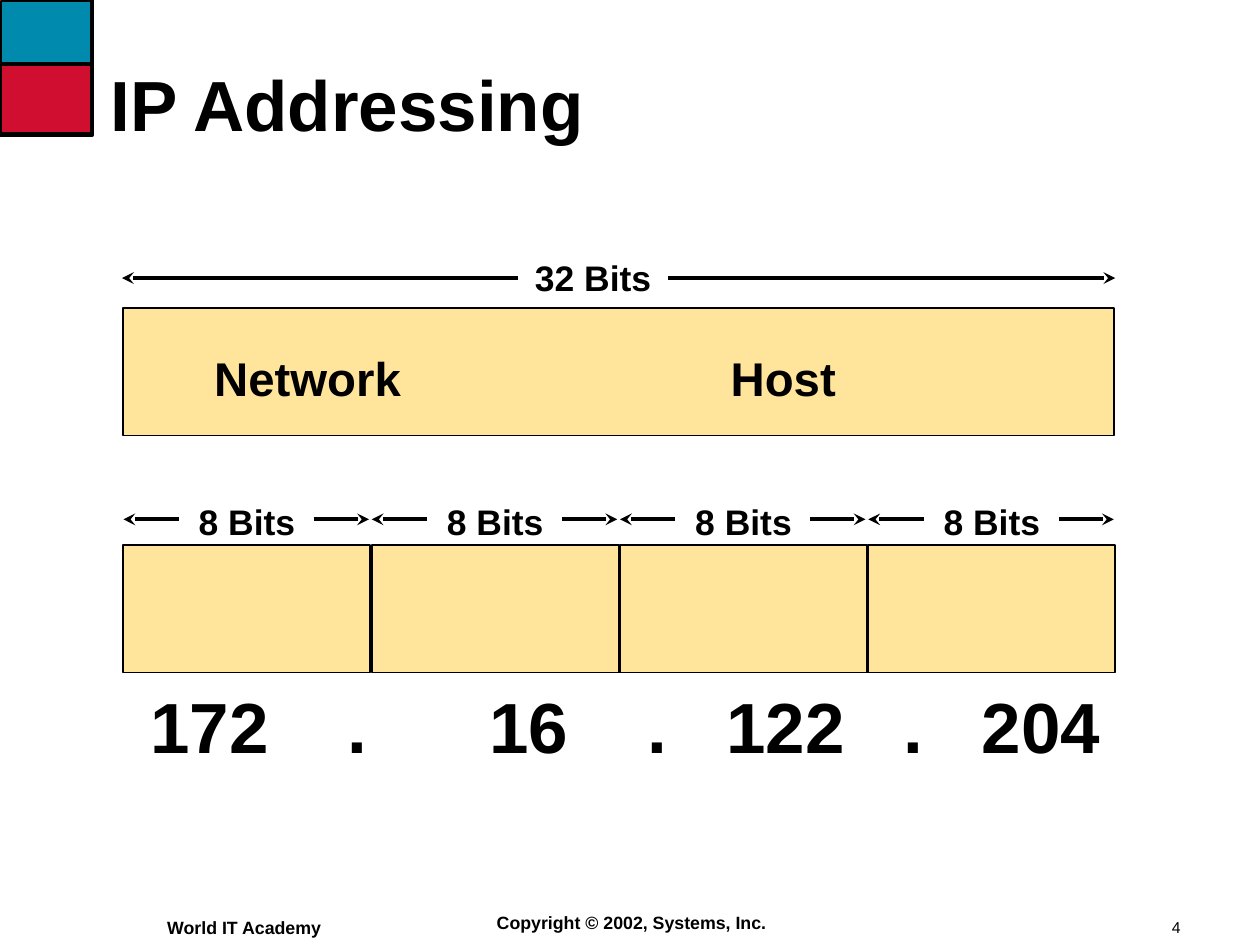
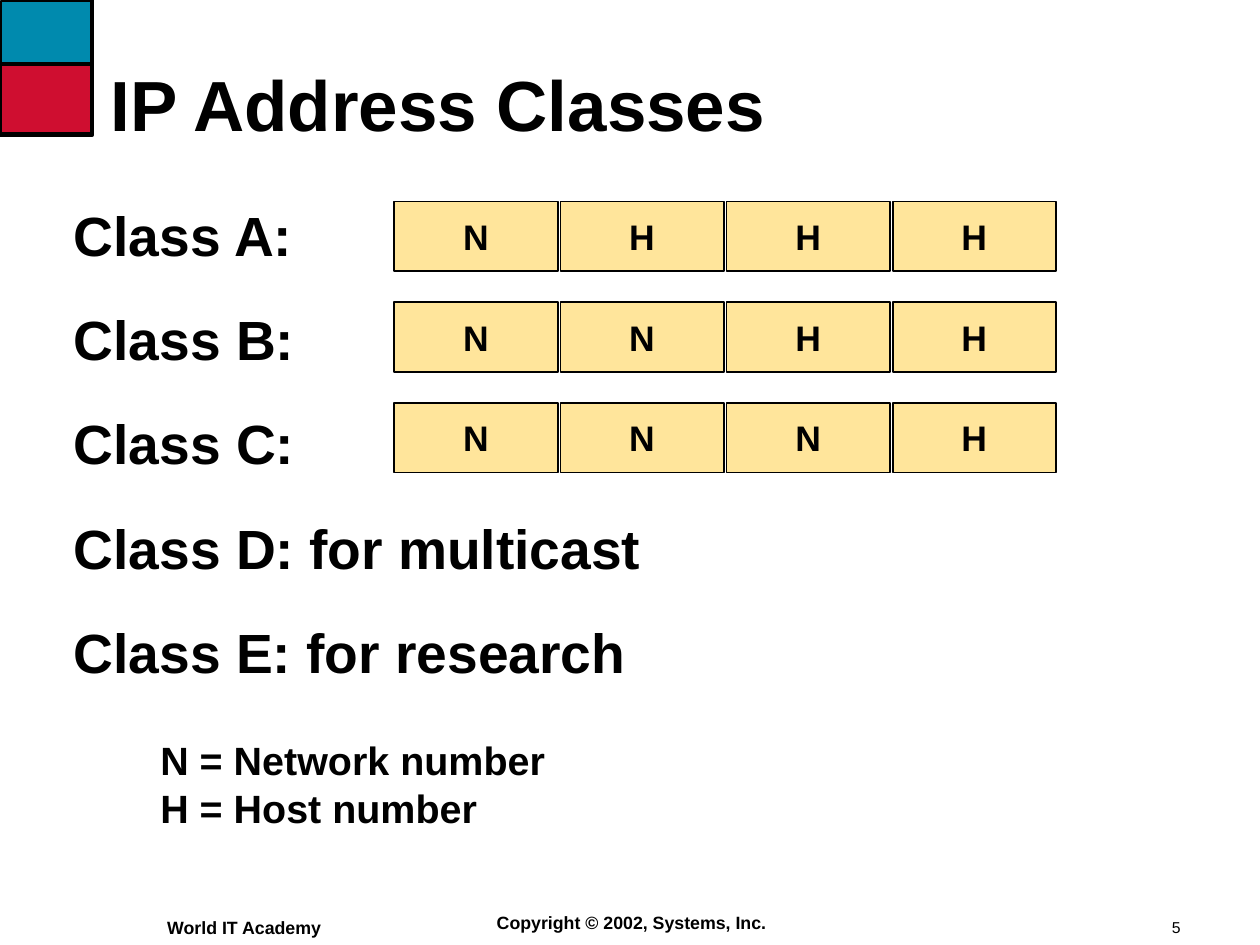
import pptx
import pptx.dml.color
import pptx.enum.shapes
import pptx.enum.text
import pptx.oxml
import pptx.oxml.ns
import pptx.util

PX = 9144  # EMU in one px, 100 px to the inch


class Theme:
    font = "Arial"
    ink = pptx.dml.color.RGBColor.from_string("000000")
    blue = pptx.dml.color.RGBColor.from_string("008AAE")
    red = pptx.dml.color.RGBColor.from_string("CF0E30")
    cell = pptx.dml.color.RGBColor.from_string("FFE59B")
    title, body, label, legend, bits = 36, 28, 24, 20, 18
    footer, number = 9, 8
    thin, thick = pptx.util.Pt(1), pptx.util.Pt(2)


LEFT = pptx.enum.text.PP_ALIGN.LEFT
CENTER = pptx.enum.text.PP_ALIGN.CENTER
TOP = pptx.enum.text.MSO_ANCHOR.TOP
MIDDLE = pptx.enum.text.MSO_ANCHOR.MIDDLE


def add_box(s, x, y, w, h, lines=(), size=Theme.bits, fill=None, align=LEFT, anchor=TOP,
            inset=(2, 3), spacing=None, before=0, bold=True, tabs=()):
    """Text box, or an outlined rectangle when a fill is given."""
    at = [v * PX for v in (x, y, w, h)]
    if fill is None:
        sp = s.shapes.add_textbox(*at)
    else:
        sp = s.shapes.add_shape(pptx.enum.shapes.MSO_SHAPE.RECTANGLE, *at)
        sp.shadow.inherit = False
        sp.fill.solid()
        sp.fill.fore_color.rgb = fill
        sp.line.color.rgb = Theme.ink
        sp.line.width = Theme.thin
    tf = sp.text_frame
    tf.word_wrap = True
    tf.vertical_anchor = anchor
    tf.margin_left = tf.margin_right = inset[0] * PX
    tf.margin_top = tf.margin_bottom = inset[1] * PX
    for i, line in enumerate(lines):
        p = tf.add_paragraph() if i else tf.paragraphs[0]
        p.alignment = align
        if spacing:
            p.line_spacing = spacing
        if i and before:
            p.space_before = pptx.util.Pt(before)
        if tabs:
            tab_list = pptx.oxml.parse_xml(f"<a:tabLst {pptx.oxml.ns.nsdecls('a')}/>")
            for pos in tabs:
                tab = tab_list.makeelement(pptx.oxml.ns.qn("a:tab"), {"pos": str(pos * PX), "algn": "l"})
                tab_list.append(tab)
            p._p.get_or_add_pPr().append(tab_list)
        r = p.add_run()
        r.text = line
        r.font.name = Theme.font
        r.font.size = pptx.util.Pt(size)
        r.font.bold = bold
        r.font.color.rgb = Theme.ink


def add_line(s, x1, y1, x2, y2, arrow=True):
    c = s.shapes.add_connector(pptx.enum.shapes.MSO_CONNECTOR.STRAIGHT,
                               x1 * PX, y1 * PX, x2 * PX, y2 * PX)
    c.line.color.rgb = Theme.ink
    c.line.width = Theme.thick
    ns = pptx.oxml.ns.nsdecls("a")
    if arrow:
        c.line._get_or_add_ln().append(pptx.oxml.parse_xml(f'<a:tailEnd {ns} type="stealth"/>'))
    c._element.spPr.append(pptx.oxml.parse_xml(f"<a:effectLst {ns}/>"))


prs = pptx.Presentation()
prs.slide_width, prs.slide_height = 888 * PX, 666 * PX

# Shared corner mark, footer and title
slides = []
for number, title in enumerate(["IP Addressing", "IP Address Classes"], 4):
    s = prs.slides.add_slide(prs.slide_layouts[6])
    slides.append(s)
    add_box(s, 1, 1, 63, 68, fill=Theme.blue)
    add_box(s, 1, 46, 63, 48, fill=Theme.red)
    add_line(s, 65, 45, 0, 45, arrow=False)
    builder = s.shapes.build_freeform(0, 95, scale=PX)
    builder.add_line_segments([(65, 95), (65, 0)], close=False)
    edge = builder.convert_to_shape()
    edge.shadow.inherit = False
    edge.fill.background()
    edge.line.color.rgb = Theme.ink
    edge.line.width = Theme.thick
    add_box(s, 818, 643, 67, 21, [str(number)], Theme.number, inset=(8, 4), bold=False)
    add_box(s, 331, 638, 228, 24, ["Copyright © 2002, Systems, Inc."], Theme.footer,
            align=CENTER, inset=(9, 5))
    add_box(s, 108, 641, 132, 25, ["World IT Academy"], Theme.footer, inset=(10, 5))
    add_box(s, 70, 21, 774, 111, [title], Theme.title, anchor=MIDDLE, inset=(8, 4), spacing=0.9)

addressing, classes = slides

# 32-bit address: network and host parts
s = addressing
add_box(s, 87, 217, 698, 90, fill=Theme.cell)
add_box(s, 368, 178, 100, 35, ["32 Bits"], align=CENTER, spacing=pptx.util.Pt(21))
for x, part in [(149, "Network"), (513, "Host")]:
    add_box(s, x, 244, 186, 61, [part], Theme.label, spacing=pptx.util.Pt(28))
add_line(s, 471, 196, 786, 196)
add_line(s, 365, 196, 86, 196)

# Four octets with their dotted decimal values
for i in range(4):
    x = 87 + i * 175
    add_box(s, x, 384, 174, 90, fill=Theme.cell)
    add_box(s, x + 51, 350, 80, 28, ["8 Bits"], spacing=pptx.util.Pt(21))
    add_line(s, x + 39, 366, x, 366)
    add_line(s, x + 134, 366, x + 173, 366)
add_box(s, 104, 478, 710, 82, ["172\t.\t16\t.\t122\t.\t204"], Theme.title,
        spacing=pptx.util.Pt(43), tabs=(139, 239, 350, 406, 531, 586))

# Address classes
s = classes
add_box(s, 44, 141, 516, 375,
        ["Class A:", "Class B:", "Class C:", "Class D: for multicast", "Class E: for research"],
        Theme.body, inset=(8, 4), spacing=0.95, before=21)
add_box(s, 111, 516, 712, 86, ["N = Network number", "H = Host number"], Theme.legend,
        spacing=pptx.util.Pt(24))
for row, octets in enumerate(["NHHH", "NNHH", "NNNH"]):
    for col, octet in enumerate(octets):
        add_box(s, 278 + col * 117, 142 + row * 71, 115, 49, [octet], fill=Theme.cell,
                align=CENTER, anchor=MIDDLE, inset=(10, 5))

prs.save("out.pptx")
